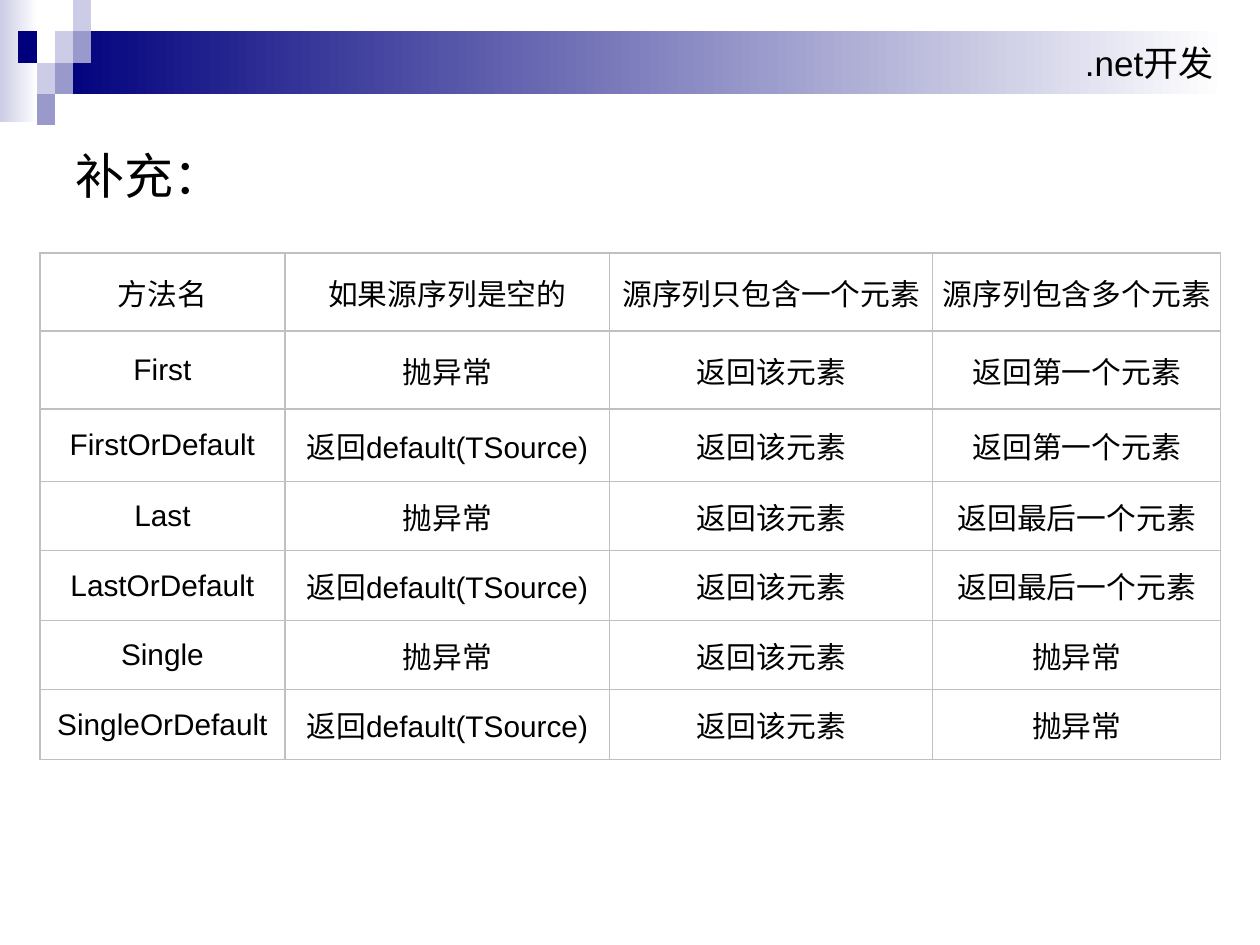
import itertools

import lxml.etree
import pptx
import pptx.dml.color
import pptx.enum.shapes
import pptx.enum.text
import pptx.oxml
import pptx.oxml.ns
import pptx.util

COLOURS = {"navy": "00007D", "mid": "9999CC", "pale": "CCCCE6",
           "white": "FFFFFF", "black": "000000", "grid": "C0C0C0"}
ALIGN = pptx.enum.text.PP_ALIGN
MIDDLE = pptx.enum.text.MSO_ANCHOR.MIDDLE


def px(length):
    return pptx.util.Emu(length * 914400 // 126)


def colour(name):
    return pptx.dml.color.RGBColor.from_string(COLOURS[name])


def gaps(edges):
    return [end - start for start, end in itertools.pairwise(edges)]


class SlideBuilder:
    font = "Arial"

    def __init__(self, slide):
        self.slide = slide

    def add_text(self, frame, text, size, align, spacing=None):
        para = frame.paragraphs[0]
        para.alignment = align
        if spacing:
            para.line_spacing = spacing
        span = para.add_run()
        span.text = text
        span.font.name = self.font
        span.font.size = pptx.util.Pt(size)
        span.font.color.rgb = colour("black")

    def rectangle(self, left, top, width, height, fill, fade_to=None):
        shape = self.slide.shapes.add_shape(
            pptx.enum.shapes.MSO_SHAPE.RECTANGLE,
            px(left), px(top), px(width), px(height))
        shape.shadow.inherit = False
        shape.line.fill.background()
        if fade_to:
            shape.fill.gradient()
            shape.fill.gradient_angle = 0
            for stop, name in zip(shape.fill.gradient_stops, (fill, fade_to)):
                stop.color.rgb = colour(name)
        else:
            shape.fill.solid()
            shape.fill.fore_color.rgb = colour(fill)
        return shape

    def text_box(self, left, top, width, height, text, size, spacing):
        box = self.slide.shapes.add_textbox(px(left), px(top), px(width), px(height))
        box.text_frame.word_wrap = True
        box.text_frame.vertical_anchor = MIDDLE
        self.add_text(box.text_frame, text, size, ALIGN.LEFT, spacing)

    def border(self, cell):
        properties = cell._tc.get_or_add_tcPr()
        for place, side in enumerate(("lnL", "lnR", "lnT", "lnB")):
            line = lxml.etree.Element(pptx.oxml.ns.qn("a:" + side),
                                      w=str(pptx.util.Pt(0.75)))
            solid = lxml.etree.SubElement(line, pptx.oxml.ns.qn("a:solidFill"))
            lxml.etree.SubElement(solid, pptx.oxml.ns.qn("a:srgbClr"),
                                  val=COLOURS["grid"])
            properties.insert(place, line)

    def table(self, column_edges, row_edges, rows, size):
        widths, heights = gaps(column_edges), gaps(row_edges)
        table = self.slide.shapes.add_table(
            len(heights), len(widths), px(column_edges[0]), px(row_edges[0]),
            px(sum(widths)), px(sum(heights))).table
        for column, width in zip(table.columns, widths):
            column.width = px(width)
        for row, height, texts in zip(table.rows, heights, rows):
            row.height = px(height)
            for cell, text in zip(row.cells, texts):
                cell.margin_left = cell.margin_right = px(4)
                cell.margin_top = cell.margin_bottom = px(4)
                cell.vertical_anchor = MIDDLE
                cell.fill.solid()
                cell.fill.fore_color.rgb = colour("white")
                self.border(cell)
                self.add_text(cell.text_frame, text, size, ALIGN.CENTER)


deck = pptx.Presentation()
deck.slide_width, deck.slide_height = px(1260), px(945)
page = SlideBuilder(deck.slides.add_slide(deck.slide_layouts[6]))

# Header band
page.rectangle(0, 0, 38, 122, "pale", fade_to="white")
banner = page.rectangle(55, 31, 1171, 63, "navy", fade_to="white")
page.add_text(banner.text_frame, ".net开发", 20, ALIGN.RIGHT)

# Mosaic squares: column, row, colour
mosaic_x, mosaic_y = (18, 37, 55, 73, 91), (0, 31, 63, 94, 125)
mosaic_widths, mosaic_heights = gaps(mosaic_x), gaps(mosaic_y)
for column, row, fill in ((2, 1, "pale"), (3, 0, "pale"), (3, 1, "mid"),
                          (1, 2, "pale"), (0, 1, "navy"), (2, 2, "mid"),
                          (1, 3, "mid")):
    page.rectangle(mosaic_x[column], mosaic_y[row],
                   mosaic_widths[column], mosaic_heights[row], fill)

# Title
page.text_box(63, 125, 1134, 89, "补充：", 28, 1.2)

# Method table
THROWS, ONLY = "抛异常", "返回该元素"
DEFAULT = "返回default(TSource)"
rows = [("方法名", "如果源序列是空的", "源序列只包含一个元素", "源序列包含多个元素")]
for method, several in (("First", "返回第一个元素"), ("Last", "返回最后一个元素"),
                        ("Single", THROWS)):
    rows.append((method, THROWS, ONLY, several))
    rows.append((method + "OrDefault", DEFAULT, ONLY, several))
page.table((40, 285, 610, 933, 1221),
           (253, 331, 409, 482, 551, 621, 690, 760), rows, 17)

deck.save("out.pptx")
